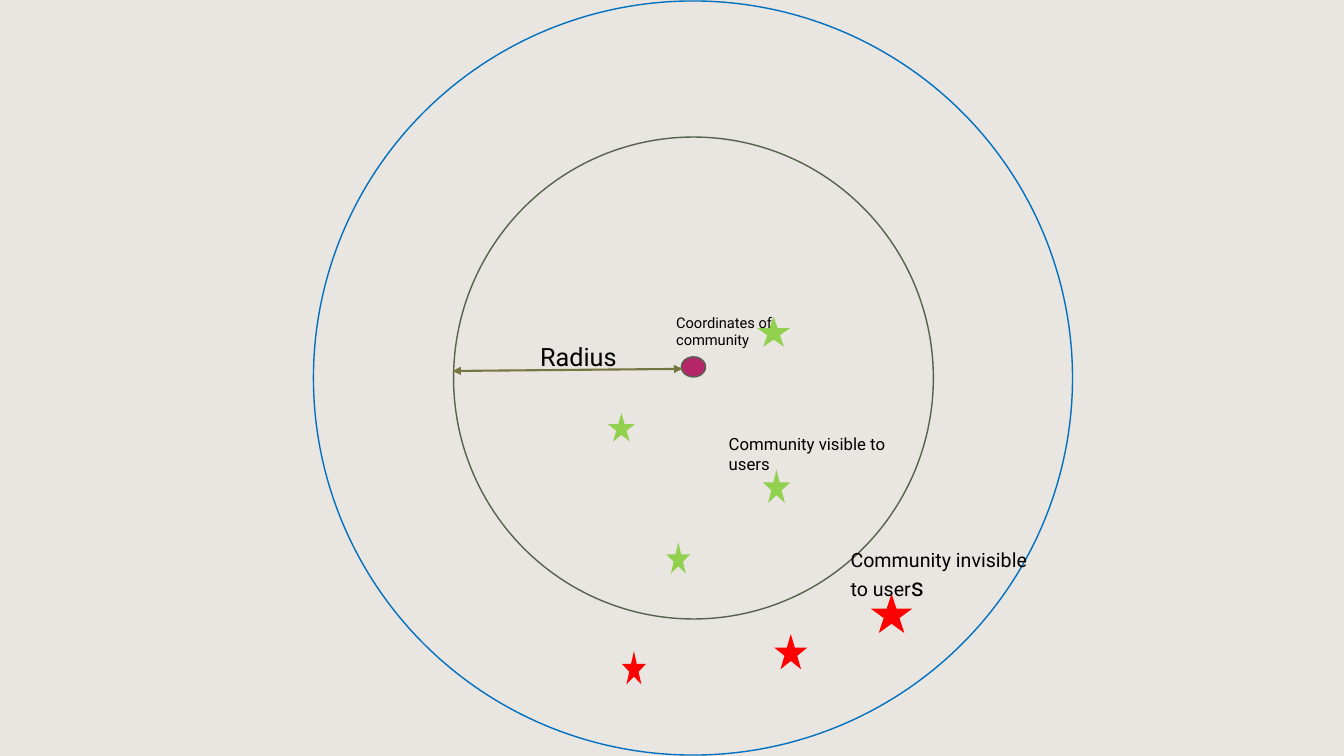
from dataclasses import dataclass

from lxml import etree
from pptx import Presentation
from pptx import util as u
from pptx.dml.color import RGBColor
from pptx.enum import shapes, text
from pptx.oxml import ns


@dataclass(frozen=True)
class Theme:
    font: str = "Roboto"
    backdrop: str = "E9E5E1"
    ink: str = "000000"
    outer: str = "0070C0"
    inner: str = "57624D"
    center: str = "B52669"
    arrow: str = "767640"
    visible: str = "92D050"
    invisible: str = "FF0000"
    caption: float = 10.5
    label: float = 12
    note: float = 14
    large: float = 18
    thin: float = 1
    medium: float = 1.5


THEME = Theme()

VISIBLE_STARS = [
    (475.9, 387.4, 17.3, 22.3),
    (545, 335.5, 19.4, 23.8),
    (434.2, 295.2, 19.4, 20.2),
    (540.7, 226.1, 23.8, 21.6),
]
INVISIBLE_STARS = [
    (622.1, 424.1, 29.5, 28.1),
    (553, 452.9, 23.8, 25.2),
    (444.2, 465.1, 17.3, 23.8),
]
LABELS = [
    ((475.9, 220.3, 95, 32.4), [("Coordinates of community", THEME.caption)]),
    ((378.7, 240.5, 77.8, 28.8), [("Radius", THEME.large)]),
    ((513.4, 306, 130.3, 36), [("Community visible to users", THEME.label)]),
    ((600.5, 388.1, 154.1, 46.1),
     [("Community invisible to user", THEME.note), ("s", THEME.large)]),
]


def color(code):
    return RGBColor.from_string(code)


def points(values):
    return [u.Pt(value) for value in values]


def add_figure(slide, kind, box, fill=None, line=None):
    shape = slide.shapes.add_shape(kind, *points(box))
    shape.shadow.inherit = False
    if fill:
        shape.fill.solid()
        shape.fill.fore_color.rgb = color(fill)
    else:
        shape.fill.background()
    if line:
        shape.line.color.rgb = color(line)
        shape.line.width = u.Pt(THEME.thin)
    else:
        shape.line.fill.background()


def add_circle(slide, box, line, fill=None):
    add_figure(slide, shapes.MSO_SHAPE.OVAL, box, fill, line)


def add_stars(slide, boxes, fill):
    for box in boxes:
        add_figure(slide, shapes.MSO_SHAPE.STAR_5_POINT, box, fill)


def add_double_arrow(slide, ends):
    connector = slide.shapes.add_connector(
        shapes.MSO_CONNECTOR.STRAIGHT, *points(ends))
    connector.line.color.rgb = color(THEME.arrow)
    connector.line.width = u.Pt(THEME.medium)
    line = connector.line._get_or_add_ln()
    for end in ("a:headEnd", "a:tailEnd"):
        etree.SubElement(line, ns.qn(end), type="triangle")
    etree.SubElement(connector._element.spPr, ns.qn("a:effectLst"))


def add_label(slide, box, runs):
    frame = slide.shapes.add_textbox(*points(box)).text_frame
    frame.word_wrap = True
    frame.auto_size = text.MSO_AUTO_SIZE.SHAPE_TO_FIT_TEXT
    paragraph = frame.paragraphs[0]
    for words, size in runs:
        run = paragraph.add_run()
        run.text = words
        run.font.name = THEME.font
        run.font.size = u.Pt(size)
        run.font.color.rgb = color(THEME.ink)


def main():
    presentation = Presentation()
    presentation.slide_width = u.Pt(960)
    presentation.slide_height = u.Pt(540)
    slide = presentation.slides.add_slide(presentation.slide_layouts[6])
    slide.background.fill.solid()
    slide.background.fill.fore_color.rgb = color(THEME.backdrop)

    add_circle(slide, (223.9, 0.7, 542.2, 538.6), THEME.outer)
    add_circle(slide, (324, 97.9, 342.7, 344.2), THEME.inner)
    add_circle(slide, (486.7, 254.9, 17.3, 14.4), THEME.inner, THEME.center)
    add_double_arrow(slide, (323.3, 265, 487.4, 263.5))
    add_stars(slide, VISIBLE_STARS, THEME.visible)
    add_stars(slide, INVISIBLE_STARS, THEME.invisible)
    for box, runs in LABELS:
        add_label(slide, box, runs)

    presentation.save("out.pptx")


if __name__ == "__main__":
    main()
